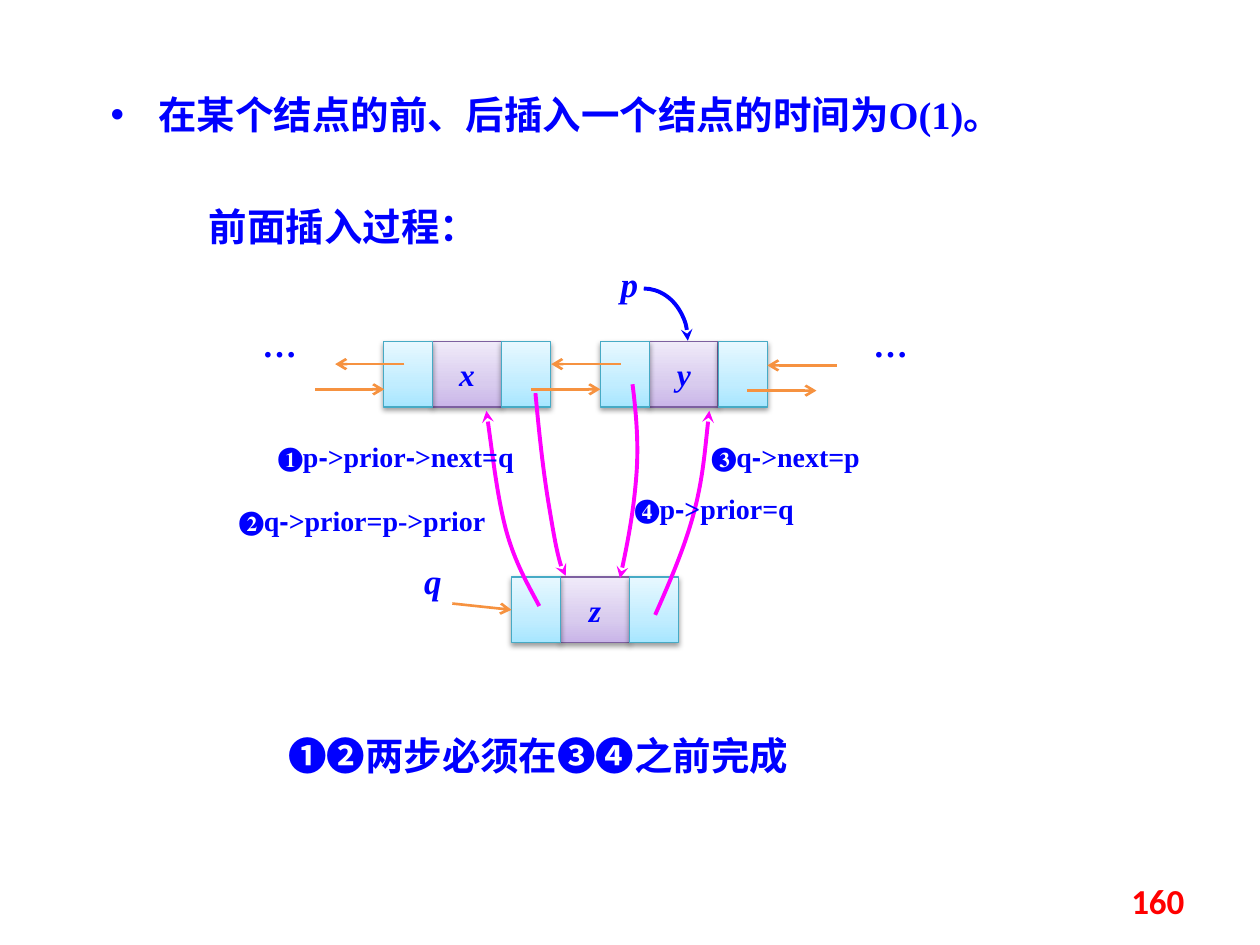
from copy import deepcopy

from lxml import etree
from pptx import Presentation
from pptx.dml.color import RGBColor
from pptx.enum.shapes import MSO_CONNECTOR, MSO_SHAPE
from pptx.enum.text import MSO_ANCHOR, MSO_AUTO_SIZE, PP_ALIGN
from pptx.oxml import parse_xml
from pptx.oxml.ns import nsdecls, qn
from pptx.util import Inches, Pt

RECT, ARC, STRAIGHT = MSO_SHAPE.RECTANGLE, MSO_SHAPE.ARC, MSO_CONNECTOR.STRAIGHT
LEFT, CENTER, RIGHT = PP_ALIGN.LEFT, PP_ALIGN.CENTER, PP_ALIGN.RIGHT
TOP, MIDDLE, GROW = MSO_ANCHOR.TOP, MSO_ANCHOR.MIDDLE, MSO_AUTO_SIZE.SHAPE_TO_FIT_TEXT
SERIF, SANS, CJK, NUMBER = "Times New Roman", "Arial", "Noto Sans CJK SC", "Calibri"
BLUE, RED, ORANGE, MAGENTA = "0000FF", "FF0000", "F69240", "FF00FF"
PURPLE_CELL = ("7D60A0", ("C9B5E8", "D8CBEE", "F0EAF9"))
CYAN_CELL = ("46AAC5", ("A7E6FF", "C1EDFF", "E7F8FF"))
STOPS = (0, 0.35, 1)
COLS, ROWS = 100, 75
LINK_W, DATA_W, CELL_H = 3.9, 5.45, 5.2


def rgb(value):
    return RGBColor.from_string(value)


class ListSlide:
    def __init__(self, prs):
        self.s = prs.slides.add_slide(prs.slide_layouts[6])
        self.col = prs.slide_width / COLS
        self.row = prs.slide_height / ROWS

    def grid(self, x, y):
        return int(x * self.col), int(y * self.row)

    def add_runs(self, tf, runs, size, color=BLUE, italic=False, align=LEFT):
        p = tf.paragraphs[0]
        p.alignment = align
        for text, face in runs:
            r = p.add_run()
            r.text = text
            r.font.size, r.font.name = Pt(size), face
            r.font.bold, r.font.italic = True, italic
            r.font.color.rgb = rgb(color)
        return p

    def text(self, x, y, w, h, runs, size, inset=True, anchor=TOP, **style):
        tf = self.s.shapes.add_textbox(*self.grid(x, y), *self.grid(w, h)).text_frame
        tf.word_wrap, tf.auto_size, tf.vertical_anchor = True, GROW, anchor
        if not inset:
            tf.margin_left = tf.margin_top = tf.margin_right = tf.margin_bottom = 0
        return self.add_runs(tf, runs, size, **style)

    def bullet(self, p, indent):
        pPr = p._p.get_or_add_pPr()
        pPr.set("marL", str(Inches(indent)))
        pPr.set("indent", str(-Inches(indent)))
        pPr.append(parse_xml(f'<a:buFont {nsdecls("a")} typeface="Arial"/>'))
        pPr.append(parse_xml(f'<a:buChar {nsdecls("a")} char="•"/>'))

    def stroke(self, shape, color, width, head):
        shape.line.color.rgb, shape.line.width = rgb(color), Pt(width)
        ln = shape._element.spPr.find(qn("a:ln"))
        etree.SubElement(ln, qn("a:tailEnd"), type=head)

    def link(self, start, end):
        c = self.s.shapes.add_connector(STRAIGHT, *self.grid(*start), *self.grid(*end))
        self.stroke(c, ORANGE, 1.5, "arrow")
        etree.SubElement(c._element.spPr, qn("a:effectLst"))

    def arc(self, x, y, w, h):
        sp = self.s.shapes.add_shape(ARC, *self.grid(x, y), *self.grid(w, h))
        sp.shadow.inherit = False
        sp.fill.background()
        self.stroke(sp, BLUE, 2.25, "stealth")

    def curve(self, start, *points):
        fb = self.s.shapes.build_freeform(*self.grid(*start))
        fb.add_line_segments([self.grid(*pt) for pt in points], close=False)
        sp = fb.convert_to_shape()
        sp.shadow.inherit = False
        sp.fill.background()
        self.stroke(sp, MAGENTA, 2.25, "stealth")
        outline = next(sp._element.iter(qn("a:path")))
        segments = outline.findall(qn("a:lnTo"))
        for i in range(0, len(segments), 3):
            bezier = etree.SubElement(outline, qn("a:cubicBezTo"))
            for segment in segments[i:i + 3]:
                bezier.append(segment[0])
                outline.remove(segment)

    def cell(self, x, y, w, look):
        border, colors = look
        sp = self.s.shapes.add_shape(RECT, *self.grid(x, y), *self.grid(w, CELL_H))
        sp.fill.gradient()
        sp.fill.gradient_angle = 90
        first = next(sp._element.iter(qn("a:gs")))
        first.addnext(deepcopy(first))
        for stop, position, color in zip(sp.fill.gradient_stops, STOPS, colors):
            stop.position, stop.color.rgb = position, rgb(color)
        sp.line.color.rgb, sp.line.width = rgb(border), Pt(0.75)
        sp.shadow.inherit = False
        sp._element.spPr.find(qn("a:effectLst")).append(parse_xml(
            f'<a:outerShdw {nsdecls("a")} blurRad="{Pt(3.1)}" dist="{Pt(1.6)}" '
            'dir="5400000" rotWithShape="0"><a:srgbClr val="000000">'
            '<a:alpha val="38000"/></a:srgbClr></a:outerShdw>'))
        return sp

    def node(self, x, y, name):
        data = self.cell(x + LINK_W, y, DATA_W, PURPLE_CELL)
        data.text_frame.vertical_anchor = MIDDLE
        self.add_runs(data.text_frame, [(name, SERIF)], 18, italic=True, align=CENTER)
        for left in (x + LINK_W + DATA_W, x):
            self.cell(left, y, LINK_W, CYAN_CELL)


def main():
    prs = Presentation()
    prs.slide_width, prs.slide_height = Inches(10), Inches(7.5)
    s = ListSlide(prs)

    p = s.text(7.8, 6.7, 73.4, 5.1,
               [("在某个结点的前、后插入一个结点的时间为O(1)。", SERIF)], 22)
    s.bullet(p, 0.38)
    s.text(15.6, 15.6, 21.1, 4.7, [("前面插入过程：", SERIF)], 22)

    for x, y, name in ((30.45, 27.1, "x"), (47.65, 27.1, "y"), (40.6, 45.8, "z")):
        s.node(x, y, name)

    for x, y in ((25, 30.9), (42.15, 30.9), (59.3, 31)):
        s.link((x, y), (x + 5.5, y))
        s.link((x + 7.1, y - 2), (x + 1.6, y - 2))
    s.link((35.9, 47.9), (40.6, 48.4))

    for x in (18.7, 67.2):
        s.text(x, 26, 7, 5.5, [("…", CJK)], 20, align=CENTER)
    s.arc(47.6, 22.9, 7, 8.3)
    for x, y, name in ((48.4, 20.8, "p"), (32.8, 44.4, "q")):
        s.text(x, y, 3.1, 3.7, [(name, SERIF)], 20, inset=False,
               italic=True, align=CENTER)

    s.curve((42.5, 31.2), (42.8, 34.5), (43.1, 37.2), (43.5, 39.7),
            (43.9, 42.1), (44.4, 45.2), (44.9, 45.7))
    s.curve((42.8, 48.1), (41.9, 46.4), (40.9, 44.7), (40.2, 42.2),
            (39.5, 39.6), (39.1, 36.1), (38.6, 32.6))
    s.curve((52, 48.8), (53.2, 46.1), (54.4, 43.3), (55.1, 40.6),
            (55.8, 37.9), (56, 35.2), (56.3, 32.6))
    s.curve((50.2, 30.5), (50.5, 32.9), (50.7, 35.3), (50.5, 37.8),
            (50.3, 40.4), (49.8, 43.2), (49.2, 45.9))

    dash = ("-", SANS)
    steps = (
        (21.1, 34.4, 22.7, [("❶p", SERIF), dash, (">prior", SERIF), dash, (">next=q", SERIF)]),
        (18, 39.5, 22.7, [("❷q", SERIF), dash, (">prior=p->prior", SERIF)]),
        (55.5, 34.4, 15.6, [("❸q", SERIF), dash, (">next=p", SERIF)]),
        (49.4, 38.5, 15.6, [("❹p", SERIF), dash, (">prior=q", SERIF)]),
    )
    for x, y, w, runs in steps:
        s.text(x, y, w, 4, runs, 16)

    s.text(21.9, 57.6, 46.9, 4.8, [("❶❷两步必须在❸❹之前完成", CJK)], 22)
    s.text(71.7, 69.5, 23.3, 4, [("160", NUMBER)], 20,
           anchor=MIDDLE, color=RED, align=RIGHT)
    prs.save("out.pptx")


if __name__ == "__main__":
    main()
